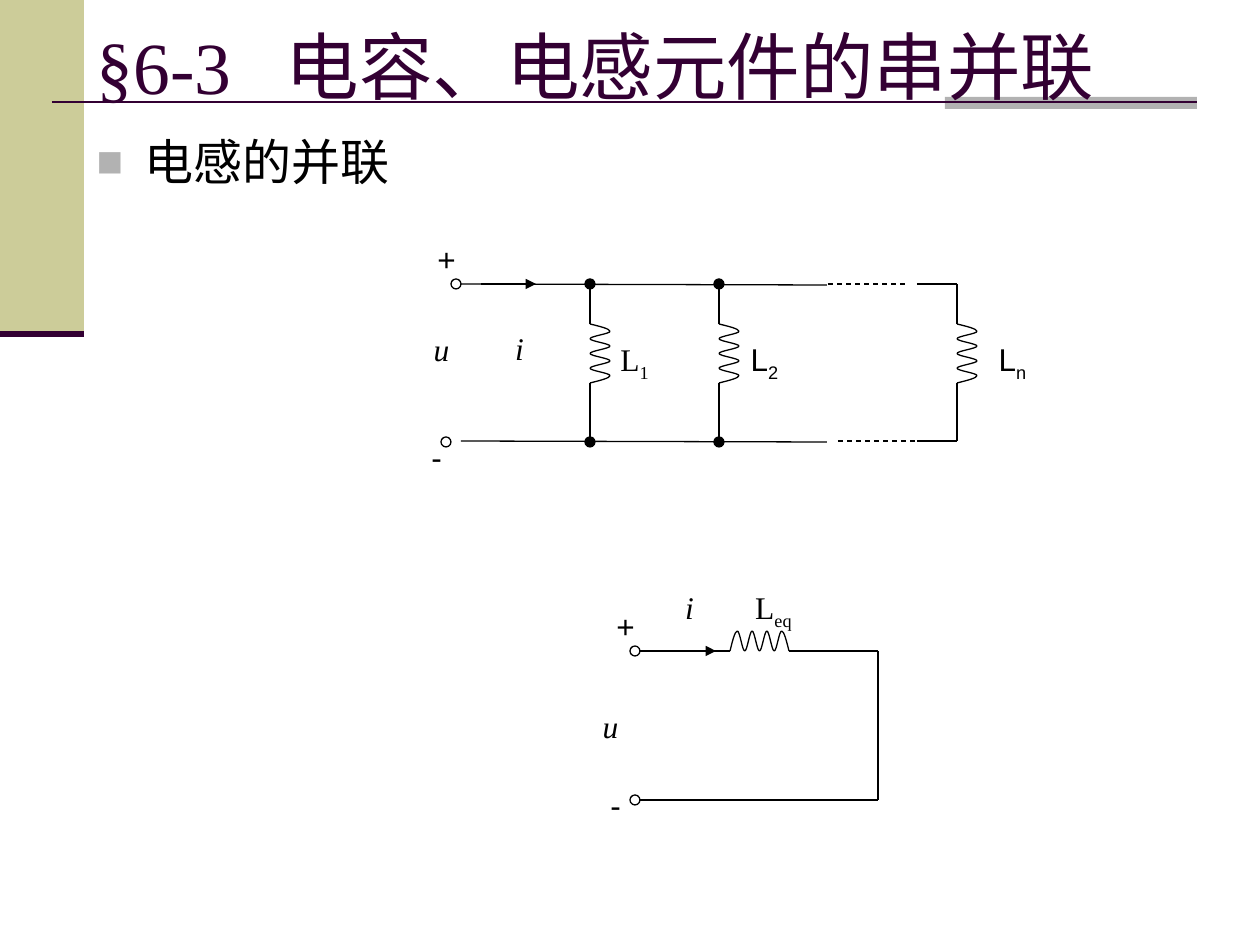
from lxml import etree
from pptx import Presentation
from pptx.dml.color import RGBColor
from pptx.enum.dml import MSO_LINE
from pptx.enum.shapes import MSO_CONNECTOR, MSO_SHAPE
from pptx.enum.text import MSO_ANCHOR, MSO_AUTO_SIZE, PP_ALIGN
from pptx.oxml.ns import qn
from pptx.util import Emu, Pt

STRAIGHT = MSO_CONNECTOR.STRAIGHT
RECT, OVAL = MSO_SHAPE.RECTANGLE, MSO_SHAPE.OVAL
DASH = MSO_LINE.DASH
LEFT, CENTER = PP_ALIGN.LEFT, PP_ALIGN.CENTER
TOP, MIDDLE = MSO_ANCHOR.TOP, MSO_ANCHOR.MIDDLE
NO_FIT = MSO_AUTO_SIZE.NONE

BLACK = RGBColor(0x00, 0x00, 0x00)
PLUM = RGBColor(0x33, 0x00, 0x33)
KHAKI = RGBColor(0xCC, 0xCC, 0x99)
GREY = RGBColor(0xB2, 0xB2, 0xB2)
SERIF, SANS = "Times New Roman", "Arial"

TITLE = "§6-3\t电容、电感元件的串并联"
TITLE_TAB = 189
BODY = "电感的并联"
BODY_INDENT = 48

BANDS = [((0, 0, 84, 334), KHAKI), ((945, 97, 252, 12), GREY)]
RULES = [((52, 102), (1197, 102), 1.5), ((0, 334), (84, 334), 3.5)]

UP, DOWN = 284, 442
COIL_TOP, COIL_LEN, COIL_HEIGHT, COIL_TURNS = 324, 59, 20, 4
BRANCHES = [590, 719, 957]
EQ_UP, EQ_DOWN, EQ_COIL, EQ_RIGHT = 651, 800, 730, 878

WIRES = [
    ((461, UP), (827, UP + 1)),
    ((917, UP), (957, UP)),
    ((461, DOWN - 1), (827, DOWN)),
    ((917, DOWN - 1), (957, DOWN - 1)),
    ((640, EQ_UP), (EQ_COIL, EQ_UP)),
    ((EQ_COIL + COIL_LEN, EQ_UP), (EQ_RIGHT, EQ_UP)),
    ((EQ_RIGHT, EQ_UP), (EQ_RIGHT, EQ_DOWN)),
    ((640, EQ_DOWN), (EQ_RIGHT, EQ_DOWN)),
]
DASHES = [((828, UP), (907, UP)), ((838, DOWN - 1), (917, DOWN - 1))]
ARROWS = [((481, UP), (536, UP)), ((660, EQ_UP), (716, EQ_UP))]
TERMINALS = [(456, UP), (446, DOWN), (635, EQ_UP), (635, EQ_DOWN)]

LABELS = [
    ("L", "1", 600, 334, 69, SERIF, False),
    ("L", "2", 730, 334, 69, SANS, False),
    ("L", "n", 948, 334, 129, SANS, False),
    ("L", "eq", 709, 582, 129, SERIF, False),
    ("+", "", 412, 234, 69, SANS, False),
    ("+", "", 591, 601, 69, SANS, False),
    ("-", "", 402, 432, 69, SANS, False),
    ("-", "", 581, 780, 69, SANS, False),
    ("u", "", 412, 324, 59, SERIF, True),
    ("u", "", 581, 701, 59, SERIF, True),
    ("i", "", 490, 323, 59, SERIF, True),
    ("i", "", 660, 582, 59, SERIF, True),
]


def px(n):
    return Emu(round(n * 914400 / 126))


def add(parent, tag, **attrs):
    return etree.SubElement(parent, qn(tag), attrs)


def place(sp, x, y, w, h):
    sp.left, sp.top, sp.width, sp.height = px(x), px(y), px(w), px(h)


def shape(s, kind, box, fill=None, line=None):
    sp = s.shapes.add_shape(kind, *map(px, box))
    sp.shadow.inherit = False
    if fill is None:
        sp.fill.background()
    else:
        sp.fill.solid()
        sp.fill.fore_color.rgb = fill
    if line is None:
        sp.line.fill.background()
    else:
        sp.line.color.rgb = line
        sp.line.width = Pt(0.75)


def wire(s, start, end, color=BLACK, width=0.75, dash=None, arrow=False):
    c = s.shapes.add_connector(STRAIGHT, *map(px, start + end))
    c.line.color.rgb = color
    c.line.width = Pt(width)
    if dash:
        c.line.dash_style = dash
    if arrow:
        add(c.line._get_or_add_ln(), "a:tailEnd", type="triangle")
    add(c.element.spPr, "a:effectLst")


def node(s, x, y, fill=None):
    shape(s, OVAL, (x - 5, y - 5, 10, 10), fill, BLACK)


def coil(s, x, y, rotation=0):
    heights = [0.5, 1, 1] + [0, 0, 0, 1, 1, 1] * COIL_TURNS
    heights = heights[:2] + [1] + [1, 0, 0, 0, 1, 1] * (COIL_TURNS - 1) + [1, 0.5, 0]
    step = COIL_LEN / len(heights)
    points = [(px(x + i * step), px(y - h * COIL_HEIGHT)) for i, h in enumerate(heights, 1)]
    fb = s.shapes.build_freeform(px(x), px(y))
    fb.add_line_segments(points, close=False)
    sp = fb.convert_to_shape()
    segments = list(sp.element.iter(qn("a:lnTo")))
    for i in range(0, len(segments), 3):
        curve = etree.Element(qn("a:cubicBezTo"))
        segments[i].addprevious(curve)
        for segment in segments[i:i + 3]:
            curve.append(segment[0])
            segment.getparent().remove(segment)
    sp.rotation = rotation
    sp.shadow.inherit = False
    sp.fill.background()
    sp.line.color.rgb = BLACK
    sp.line.width = Pt(0.75)


def write(p, text, size=18, font=SANS, color=BLACK, italic=False, base=None):
    r = p.add_run()
    r.text = text
    r.font.size, r.font.name, r.font.italic = Pt(size), font, italic
    r.font.color.rgb = color
    if base:
        r.font._element.set("baseline", str(base))


def frame(sp, anchor=TOP, align=CENTER):
    tf = sp.text_frame
    tf.word_wrap, tf.auto_size, tf.vertical_anchor = True, NO_FIT, anchor
    p = tf.paragraphs[0]
    p.alignment, p.space_before = align, Pt(0)
    return p


prs = Presentation()
prs.slide_width, prs.slide_height = px(1260), px(945)
s = prs.slides.add_slide(prs.slide_layouts[1])
title, body = s.placeholders

for box, color in BANDS:
    shape(s, RECT, box, color)
for start, end, width in RULES:
    wire(s, start, end, PLUM, width)

place(body, 84, 125, 567, 719)
p = frame(body, align=LEFT)
pPr = p._p.get_or_add_pPr()
pPr.set("marL", str(px(BODY_INDENT)))
pPr.set("indent", str(-px(BODY_INDENT)))
add(add(pPr, "a:buClr"), "a:srgbClr", val=str(GREY))
add(pPr, "a:buSzPct", val="90000")
add(pPr, "a:buFont", typeface=SANS)
add(pPr, "a:buChar", char="■")
write(p, BODY, size=28)

for start, end in WIRES:
    wire(s, start, end)
for start, end in DASHES:
    wire(s, start, end, dash=DASH)
for start, end in ARROWS:
    wire(s, start, end, arrow=True)
turn = (COIL_LEN - COIL_HEIGHT) / 2
for x in BRANCHES:
    wire(s, (x, UP), (x, COIL_TOP))
    coil(s, x - turn, COIL_TOP + turn + COIL_HEIGHT, rotation=90)
    wire(s, (x, COIL_TOP + COIL_LEN), (x, DOWN - 1))
coil(s, EQ_COIL, EQ_UP)
for x, y in TERMINALS:
    node(s, x, y)
for x in BRANCHES[:2]:
    for y in (UP, DOWN):
        node(s, x, y, BLACK)

for text, sub, x, y, w, font, italic in LABELS:
    p = frame(s.shapes.add_textbox(px(x), px(y), px(w), px(50)))
    write(p, text, font=font, italic=italic)
    if sub:
        write(p, sub, font=font, base=-25000)

place(title, 84, 38, 1113, 54)
p = frame(title, MIDDLE, LEFT)
tabs = add(p._p.get_or_add_pPr(), "a:tabLst")
add(tabs, "a:tab", pos=str(px(TITLE_TAB)), algn="l")
write(p, TITLE, size=42, font=SERIF, color=PLUM)
s.shapes.element.append(title.element)

prs.save("out.pptx")
